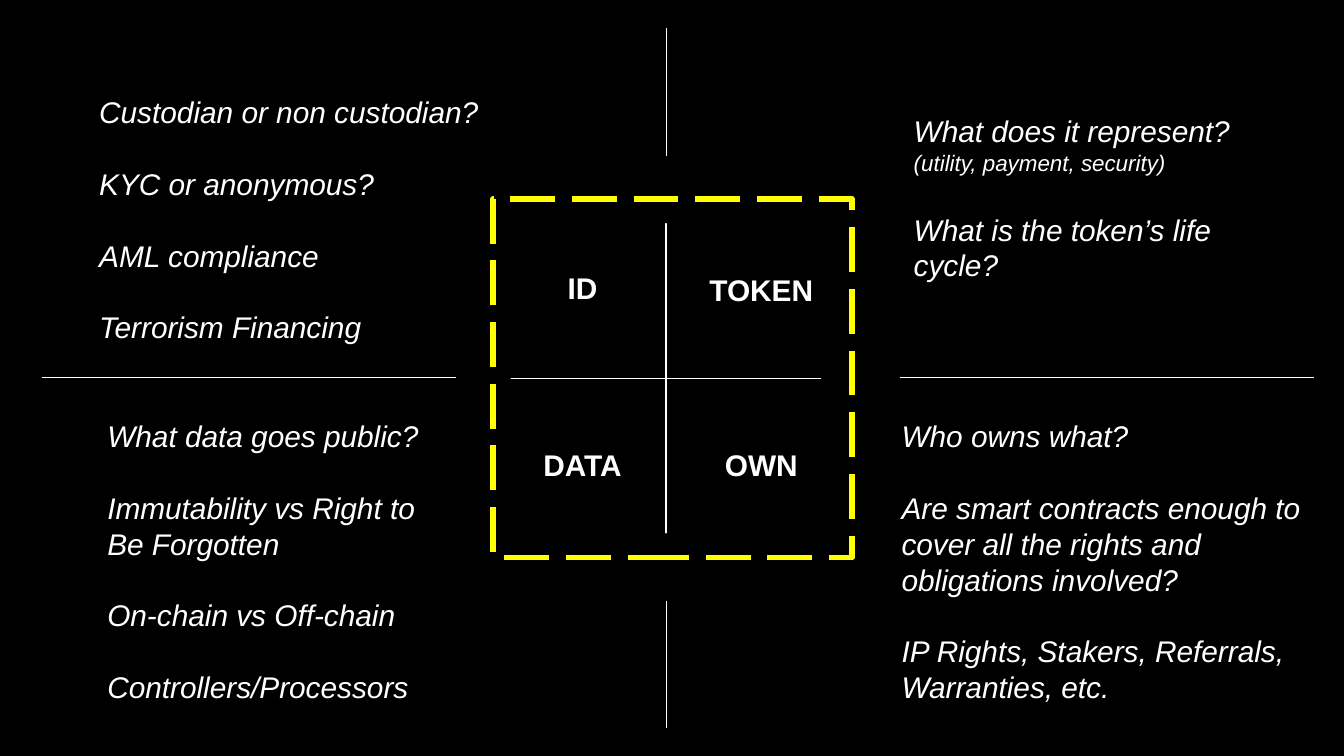
from lxml.etree import SubElement
from pptx import Presentation
from pptx.dml.color import RGBColor
from pptx.enum.dml import MSO_LINE
from pptx.enum.shapes import MSO_CONNECTOR, MSO_SHAPE
from pptx.enum.text import MSO_ANCHOR, PP_ALIGN
from pptx.oxml.ns import qn
from pptx.util import Inches, Pt

COLORS = {"bg": "000000", "text": "FFFFFF", "frame": "FFFF00", "plus": "EEEEEE"}
FONT, SIZE, GAP = "Arial", 16, 19.2
FRAME_X, FRAME_Y, CELL_W, CELL_H = 3.67, 1.48, 1.33, 1.32
LABELS = [[("ID", CELL_H), ("TOKEN", 1.35)], [("DATA", CELL_H), ("OWN", CELL_H)]]
QUESTIONS = [
    ((0.64, 0.6, 3.33, 2.63), 0.1, [
        ["Custodian or non custodian?"], ["KYC or anonymous?"],
        ["AML compliance"], ["Terrorism Financing"]]),
    ((0.7, 3.01, 2.75, 2.36), 0.1, [
        ["What data goes public?"], ["Immutability vs Right to Be Forgotten"],
        ["On-chain vs Off-chain"], ["Controllers/Processors"]]),
    ((6.7, 0.21, 2.75, 2.56), 0.63, [
        ["What does it represent? ", "(utility, payment, security)"],
        ["What is the token’s life cycle?"]]),
    ((6.61, 3.01, 3.44, 2.36), 0.1, [
        ["Who owns what?"],
        ["Are smart contracts enough to cover all the rights and obligations involved?"],
        ["IP Rights, Stakers, Referrals, Warranties, etc."]]),
]
AXES = [
    (0.31, 2.81, 3.39, 2.81), (4.96, 1.16, 4.96, 0.21),
    (4.96, 5.42, 4.96, 4.47), (6.7, 2.81, 9.78, 2.81),
]


def rgb(name):
    return RGBColor.from_string(COLORS[name])


def add_text(s, box, paragraphs, top=0.1, label=False):
    tf = s.shapes.add_textbox(*map(Inches, box)).text_frame
    tf.word_wrap = True
    tf.margin_left = tf.margin_right = tf.margin_bottom = Inches(0.1)
    tf.margin_top = Inches(top)
    tf.vertical_anchor = MSO_ANCHOR.MIDDLE if label else MSO_ANCHOR.TOP
    for i, runs in enumerate(paragraphs):
        p = tf.paragraphs[0] if i == 0 else tf.add_paragraph()
        p.alignment = PP_ALIGN.CENTER if label else PP_ALIGN.LEFT
        p.space_before = Pt(GAP if i else 0)
        p.font.name, p.font.size = FONT, Pt(SIZE)
        p.font.bold, p.font.italic = label, not label
        p.font.color.rgb = rgb("text")
        for j, text in enumerate(runs):
            r = p.add_run()
            r.text = text
            if j:
                r.font.size = Pt(12)


def add_outline(s, kind, box, color, width):
    sp = s.shapes.add_shape(kind, *map(Inches, box))
    sp.shadow.inherit = False
    sp.fill.background()
    sp.line.color.rgb = rgb(color)
    sp.line.width = Pt(width)
    return sp


def main():
    """Build the four-quadrant slide of token design questions."""
    prs = Presentation()
    prs.slide_width, prs.slide_height = Inches(10), Inches(10) * 9 // 16
    s = prs.slides.add_slide(prs.slide_layouts[6])
    s.background.fill.solid()
    s.background.fill.fore_color.rgb = rgb("bg")

    frame = add_outline(s, MSO_SHAPE.RECTANGLE, (FRAME_X, FRAME_Y, 2.67, 2.67), "frame", 3)
    frame.line.dash_style = MSO_LINE.LONG_DASH
    for row, labels in enumerate(LABELS):
        for col, (label, height) in enumerate(labels):
            box = (FRAME_X + col * CELL_W, FRAME_Y + row * CELL_H, CELL_W, height)
            add_text(s, box, [[label]], label=True)
    for box, top, paragraphs in QUESTIONS:
        add_text(s, box, paragraphs, top)

    plus = add_outline(s, MSO_SHAPE.MATH_PLUS, (3.39, 1.25, 3.13, 3.13), "text", 0.75)
    plus.adjustments[0] = 0
    plus.fill.solid()
    plus.fill.fore_color.rgb = rgb("plus")
    for axis in AXES:
        line = s.shapes.add_connector(MSO_CONNECTOR.STRAIGHT, *map(Inches, axis))
        line.line.color.rgb = rgb("text")
        line.line.width = Pt(0.75)
        SubElement(line._element.spPr, qn("a:effectLst"))
    prs.save("out.pptx")


if __name__ == "__main__":
    main()
